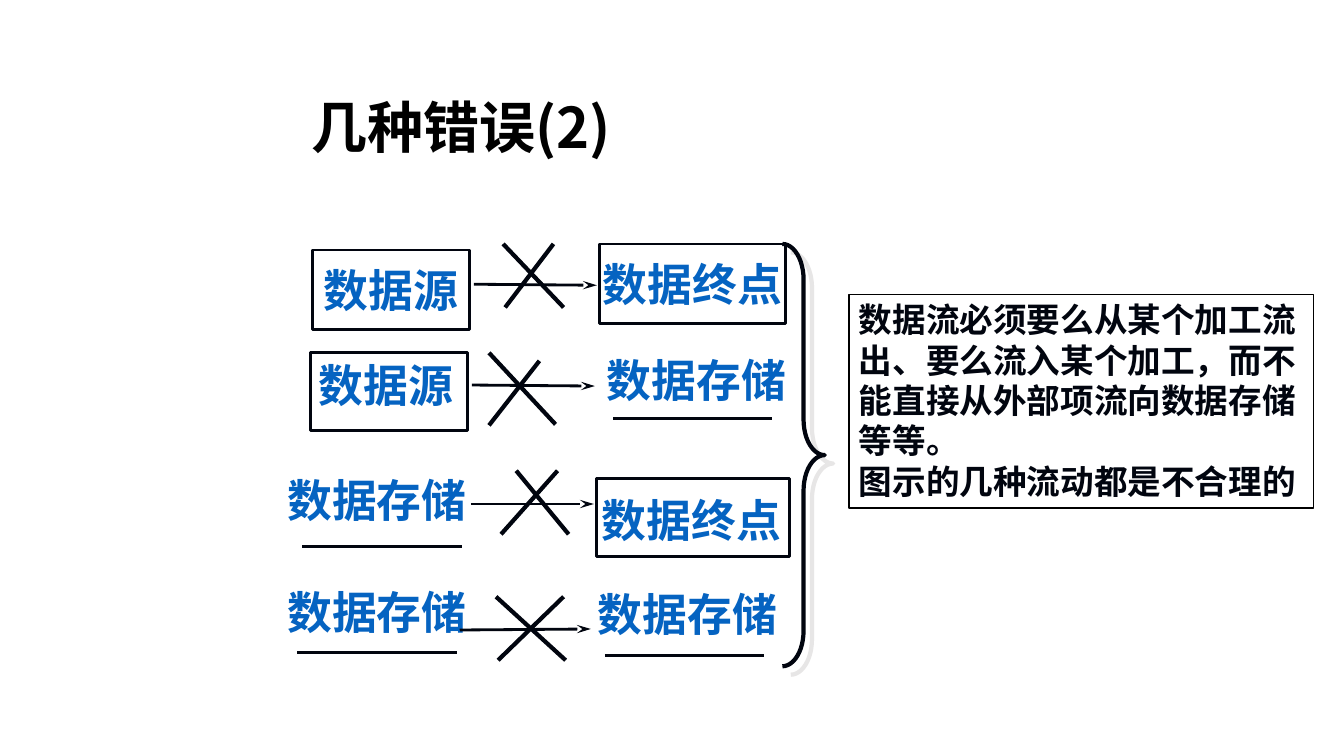
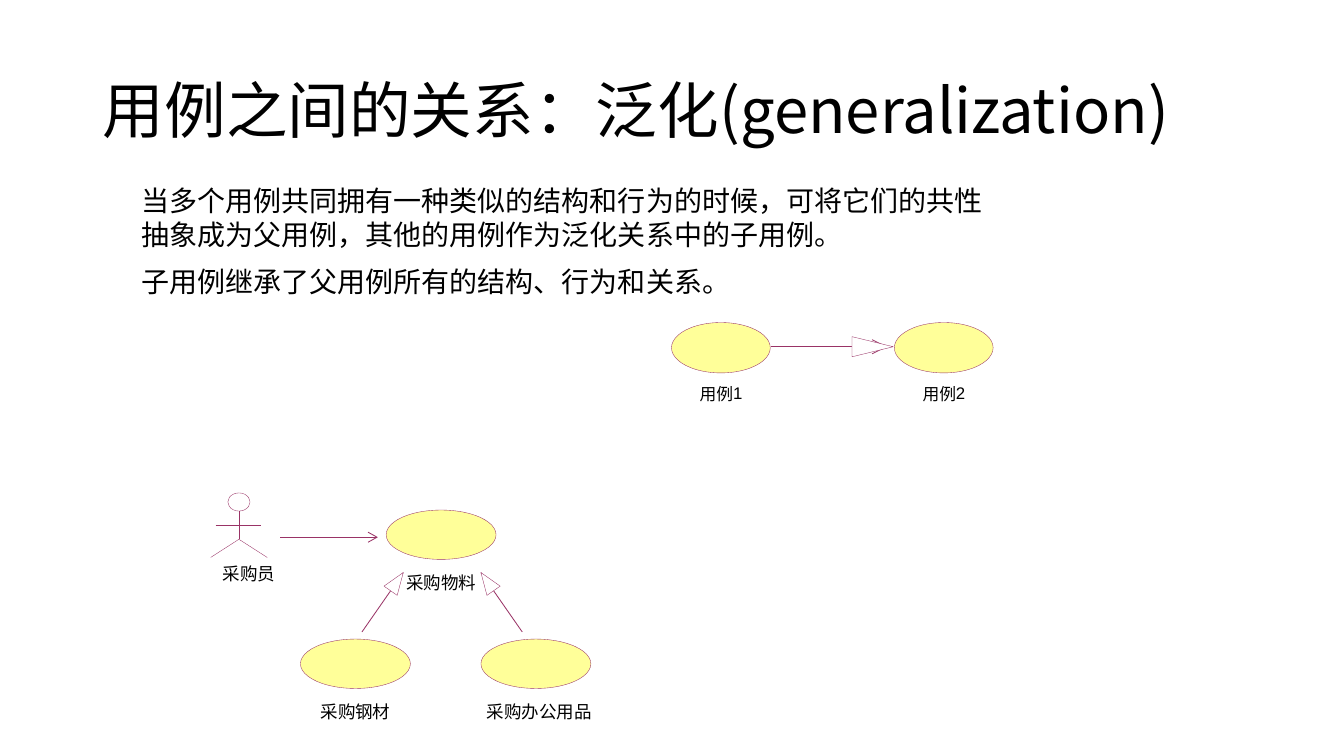
from math import hypot

from lxml.etree import SubElement
from pptx import Presentation
from pptx.dml.color import RGBColor
from pptx.enum.shapes import MSO_CONNECTOR, MSO_SHAPE
from pptx.enum.text import MSO_ANCHOR, MSO_AUTO_SIZE, PP_ALIGN
from pptx.oxml.ns import qn
from pptx.util import Inches, Pt

COLORS = {
    "black": "000000", "white": "FFFFFF", "ink": "01050F", "blue": "0563C1",
    "shadow": "E7E6E6", "purple": "993366", "yellow": "FFFF99",
}
CJK = "Noto Sans CJK SC"
BODY = "Calibri"
HAIRLINE = 0.25


def rgb(name):
    return RGBColor.from_string(COLORS[name])


# Shared text and line styles
def style_text(p, size, color="black", font=CJK, bold=False):
    p.font.size = Pt(size)
    p.font.bold = bold
    p.font.name = font
    p.font.color.rgb = rgb(color)
    latin = p._p.pPr.find(qn("a:defRPr")).find(qn("a:latin"))
    ea = latin.makeelement(qn("a:ea"), {"typeface": font})
    latin.addnext(ea)


def style_shape(sp, fill, line, width):
    sp.shadow.inherit = False
    if fill:
        sp.fill.solid()
        sp.fill.fore_color.rgb = rgb(fill)
    else:
        sp.fill.background()
    sp.line.color.rgb = rgb(line)
    sp.line.width = Pt(width)
    return sp


def set_margins(tf, left=0.0, top=0.0, right=0.0, bottom=0.0):
    tf.margin_left, tf.margin_top = Inches(left), Inches(top)
    tf.margin_right, tf.margin_bottom = Inches(right), Inches(bottom)


# Element helpers
def add_titled_slide(prs, text, at, size, bold=False):
    slide = prs.slides.add_slide(prs.slide_layouts[5])
    sp = slide.shapes.title
    sp.left, sp.top, sp.width, sp.height = map(Inches, at)
    tf = sp.text_frame
    tf.text = text
    tf.auto_size = MSO_AUTO_SIZE.NONE
    tf.vertical_anchor = MSO_ANCHOR.MIDDLE
    p = tf.paragraphs[0]
    p.alignment = PP_ALIGN.LEFT
    p.line_spacing = 0.9
    style_text(p, size, bold=bold)
    return slide


def add_line(slide, start, end, color="ink", width=2, tail=None):
    ln = slide.shapes.add_connector(
        MSO_CONNECTOR.STRAIGHT, *map(Inches, (*start, *end)))
    ln.line.color.rgb = rgb(color)
    ln.line.width = Pt(width)
    if tail:
        SubElement(ln.line._get_or_add_ln(), qn("a:tailEnd"),
                   type=tail, w="med", len="lg")
    SubElement(ln._element.spPr, qn("a:effectLst"))


def add_preset(slide, preset, at, fill, line, width):
    sp = slide.shapes.add_shape(preset, *map(Inches, at))
    return style_shape(sp, fill, line, width)


def add_outline(slide, points, fill=None, width=HAIRLINE, close=False):
    corners = [(Inches(x), Inches(y)) for x, y in points]
    builder = slide.shapes.build_freeform(*corners[0])
    builder.add_line_segments(corners[1:], close=close)
    style_shape(builder.convert_to_shape(), fill, "purple", width)


# Data flow slide
def add_entity(slide, text, at, top=0.0, right=0.0, bottom=0.0):
    """Boxed source or end point; the margins shift its centred text."""
    sp = add_preset(slide, MSO_SHAPE.RECTANGLE, at, "white", "ink", 2)
    tf = sp.text_frame
    tf.text = text
    tf.word_wrap = False
    tf.vertical_anchor = MSO_ANCHOR.MIDDLE
    set_margins(tf, top=top, right=right, bottom=bottom)
    tf.paragraphs[0].alignment = PP_ALIGN.CENTER
    style_text(tf.paragraphs[0], 32, "blue", bold=True)


def add_store(slide, x, y, line_x, line_y):
    """Data store: a label above an open line."""
    tb = slide.shapes.add_textbox(*map(Inches, (x, y, 2.01, 0.64)))
    tf = tb.text_frame
    tf.text = "数据存储"
    tf.word_wrap = False
    style_text(tf.paragraphs[0], 32, "blue", bold=True)
    add_line(slide, (line_x, line_y), (line_x + 1.58, line_y))


def add_wrong_flow(slide, start, end, *strokes):
    """Arrow crossed out by two strokes."""
    add_line(slide, start, end, tail="stealth")
    for stroke_start, stroke_end in strokes:
        add_line(slide, stroke_start, stroke_end, width=3)


def add_note(slide, paragraphs, at):
    sp = add_preset(slide, MSO_SHAPE.RECTANGLE, at, None, "black", 1)
    tf = sp.text_frame
    tf.text = "\n".join(paragraphs)
    tf.word_wrap = True
    tf.vertical_anchor = MSO_ANCHOR.TOP
    for p in tf.paragraphs:
        p.alignment = PP_ALIGN.LEFT
        style_text(p, 24, "ink", bold=True)


def add_brace(slide, at):
    sp = add_preset(slide, MSO_SHAPE.RIGHT_BRACE, at, None, "ink", 3)
    sp.adjustments[0] = 0.839
    effects = sp._element.spPr.find(qn("a:effectLst"))
    shadow = SubElement(effects, qn("a:outerShdw"), dist=str(Pt(8.5)),
                        dir="2700000", algn="ctr", rotWithShape="0")
    SubElement(shadow, qn("a:srgbClr"), val=COLORS["shadow"])


def build_errors(prs):
    slide = add_titled_slide(
        prs, "几种错误(2)", (2.99, 0.67, 7.9, 1.25), 40, bold=True)

    # Sources and end points
    add_entity(slide, "数据源", (3.1, 2.48, 1.56, 0.79))
    add_entity(slide, "数据终点", (5.95, 2.42, 1.84, 0.79))
    add_entity(slide, "数据源", (3.08, 3.5, 1.56, 0.77), right=0.06, bottom=0.13)
    add_entity(slide, "数据终点", (5.92, 4.75, 1.91, 0.77), top=0.04, right=0.03)

    # Stores
    for store in ((5.92, 3.45, 6.08, 4.15), (2.75, 4.64, 3, 5.42),
                  (2.75, 5.75, 2.95, 6.47), (5.83, 5.77, 6, 6.5)):
        add_store(slide, *store)

    # Wrong flows, top to bottom
    flows = (
        ((4.7, 2.82), (5.92, 2.83),
         ((4.99, 2.42), (5.59, 3.05)), ((5.49, 2.42), (5.01, 3.05))),
        ((4.68, 3.82), (5.9, 3.83),
         ((4.85, 3.5), (5.51, 4.21)), ((5.35, 3.58), (4.85, 4.22))),
        ((4.67, 5), (5.89, 5),
         ((5.12, 4.67), (5.64, 5.3)), ((5.53, 4.67), (4.97, 5.3))),
        ((4.56, 6.25), (5.86, 6.24),
         ((4.92, 5.92), (5.61, 6.55)), ((5.59, 5.92), (4.94, 6.55))),
    )
    for flow in flows:
        add_wrong_flow(slide, *flow)

    # Explanation
    add_note(slide, (
        "数据流必须要么从某个加工流出、要么流入某个加工，而不能直接从外部项流向数据存储等等。",
        "图示的几种流动都是不合理的"), (8.42, 2.92, 4.61, 2.12))
    add_brace(slide, (7.76, 2.42, 0.42, 4.19))


# Use case slide
def add_plain_text(slide, text, at, size, font=BODY):
    tb = slide.shapes.add_textbox(*map(Inches, at))
    tf = tb.text_frame
    tf.text = text
    tf.word_wrap = True
    set_margins(tf)
    for p in tf.paragraphs:
        p.line_spacing = 1.07
        style_text(p, size, font=font)
    return tf


def add_use_case(slide, oval, text, label_at, size=12.5):
    add_preset(slide, MSO_SHAPE.OVAL, oval, "yellow", "purple", HAIRLINE)
    add_plain_text(slide, text, (*label_at, 1.37, 0.23), size)


def head_points(start, tip, length, half):
    """Two wings and the tip of an arrowhead pointing from start to tip."""
    dx, dy = tip[0] - start[0], tip[1] - start[1]
    span = hypot(dx, dy)
    ux, uy = dx / span, dy / span
    base_x, base_y = tip[0] - length * ux, tip[1] - length * uy
    return [(base_x - half * uy, base_y + half * ux), tip,
            (base_x + half * uy, base_y - half * ux)]


def add_open_arrow(slide, start, tip, length, half):
    add_line(slide, start, tip, "purple", 0.6)
    add_outline(slide, head_points(start, tip, length, half), width=0.6)


def add_generalization(slide, start, tip, length, half):
    add_line(slide, start, tip, "purple", 0.6)
    add_outline(slide, head_points(start, tip, length, half), "white", close=True)


def add_actor(slide):
    add_preset(slide, MSO_SHAPE.OVAL, (2.26, 4.89, 0.22, 0.18),
               None, "purple", HAIRLINE)
    hip = (2.37, 5.35)
    for start, end in (((2.14, 5.21), (2.59, 5.21)), ((2.37, 5.07), hip),
                       (hip, (2.09, 5.53)), (hip, (2.65, 5.53))):
        add_line(slide, start, end, "purple", HAIRLINE)
    add_plain_text(slide, "采购员", (2.21, 5.57, 0.69, 0.23), 12.5)


def build_generalization(prs):
    slide = add_titled_slide(
        prs, "用例之间的关系：泛化(generalization)", (0.92, 0.4, 11.5, 1.45), 44)

    # Definition
    tf = add_plain_text(
        slide,
        "当多个用例共同拥有一种类似的结构和行为的时候，可将它们的共性"
        "抽象成为父用例，其他的用例作为泛化关系中的子用例。\n"
        "子用例继承了父用例所有的结构、行为和关系。",
        (1.4, 1.82, 8.5, 1.2), 20)
    for p in tf.paragraphs:
        p.line_spacing = Pt(24)
        p.space_after = Pt(9.8)

    # Notation
    for number, x in (("1", 6.66), ("2", 8.87)):
        add_use_case(slide, (x, 3.2, 0.98, 0.5), "用例", (x + 0.28, 3.79), 12)
        add_plain_text(slide, number, (x + 0.61, 3.78, 0.12, 0.25), 12, "Arial")
    add_open_arrow(slide, (7.65, 3.44), (8.79, 3.44), 0.14, 0.07)
    add_generalization(slide, (7.65, 3.44), (8.86, 3.44), 0.41, 0.1)

    # Purchasing example
    add_actor(slide)
    add_open_arrow(slide, (2.78, 5.33), (3.74, 5.33), 0.09, 0.05)
    for x, y, text, label_at in (
            (3.83, 5.06, "采购物料", (4.03, 5.66)),
            (2.98, 6.34, "采购钢材", (3.18, 6.94)),
            (4.77, 6.34, "采购办公用品", (4.83, 6.94))):
        add_use_case(slide, (x, y, 1.09, 0.49), text, label_at)
    for start_x, tip_x in ((3.59, 4), (5.18, 4.77)):
        add_generalization(slide, (start_x, 6.27), (tip_x, 5.68), 0.22, 0.08)


def main():
    prs = Presentation()
    prs.slide_width, prs.slide_height = Inches(13.33), Inches(7.5)
    build_errors(prs)
    build_generalization(prs)
    prs.save("out.pptx")


if __name__ == "__main__":
    main()
